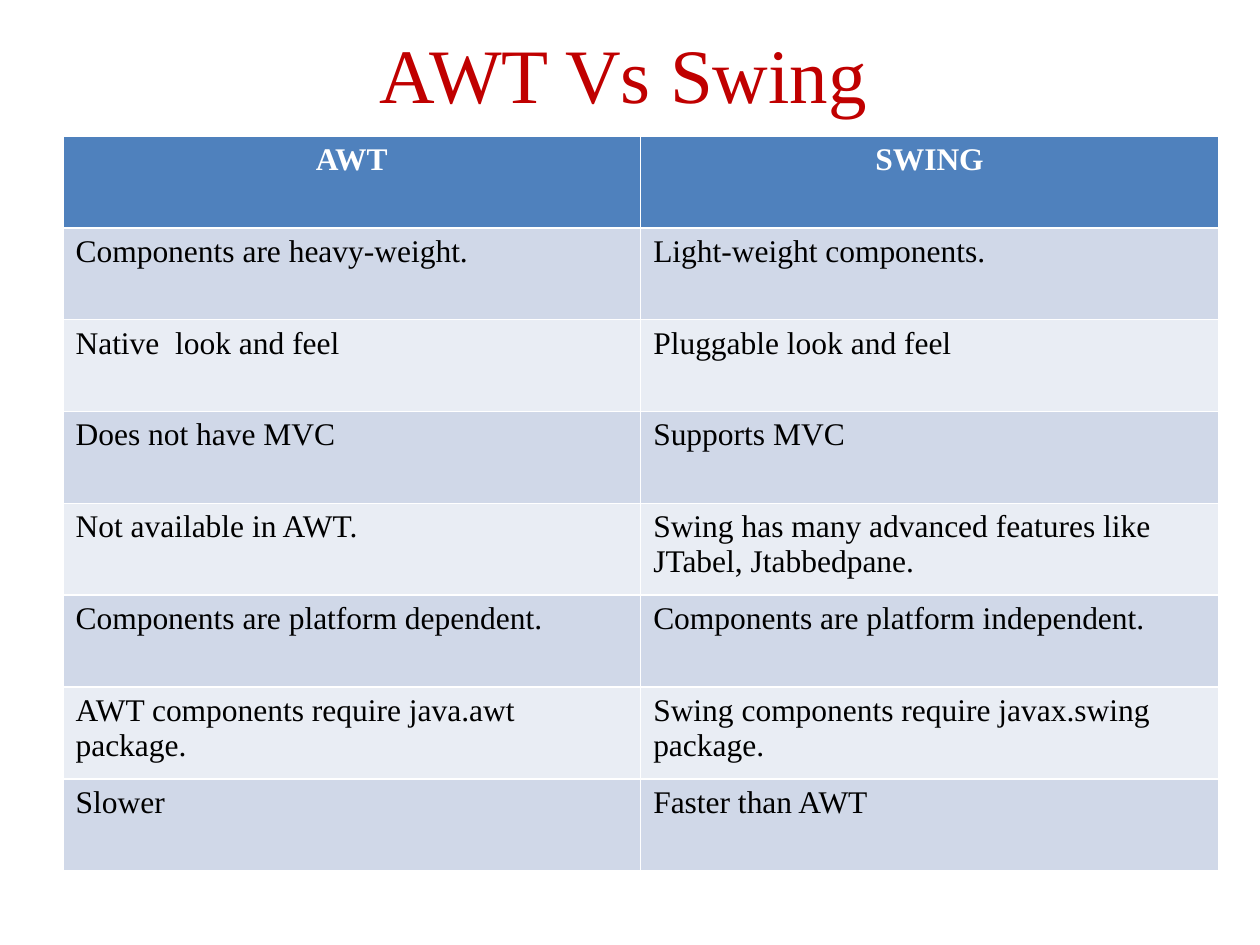
from pptx import Presentation
from pptx.dml.color import RGBColor
from pptx.enum.text import MSO_ANCHOR, PP_ALIGN
from pptx.util import Inches, Pt

CENTER = PP_ALIGN.CENTER
LEFT = PP_ALIGN.LEFT
MIDDLE = MSO_ANCHOR.MIDDLE
FONT = "Times New Roman"
COLORS = {
    "title": "C00000",
    "header": "4F81BD",
    "header_text": "FFFFFF",
    "odd_row": "D0D8E8",
    "even_row": "E9EDF4",
    "text": "000000",
}
COMPARISON = [
    ("AWT", "SWING"),
    ("Components are heavy-weight.", "Light-weight components."),
    ("Native  look and feel", "Pluggable look and feel"),
    ("Does not have MVC", "Supports MVC"),
    ("Not available in AWT.", "Swing has many advanced features like JTabel, Jtabbedpane."),
    ("Components are platform dependent.", "Components are platform independent."),
    ("AWT components require java.awt package.", "Swing components require javax.swing package."),
    ("Slower", "Faster than AWT"),
]


def color(name):
    """Return the named palette colour."""
    return RGBColor.from_string(COLORS[name])


def style_paragraph(paragraph, size, color_name, alignment, bold=False):
    """Set the font and alignment of a paragraph."""
    paragraph.alignment = alignment
    font = paragraph.font
    font.name = FONT
    font.size = Pt(size)
    font.bold = bold
    font.color.rgb = color(color_name)


def add_title(slide, left, top, width, height):
    """Add the centred slide title in the given box."""
    text_box = slide.shapes.add_textbox(Inches(left), Inches(top), Inches(width), Inches(height))
    frame = text_box.text_frame
    frame.word_wrap = True
    frame.vertical_anchor = MIDDLE
    frame.text = "AWT Vs Swing "
    style_paragraph(frame.paragraphs[0], 44, "title", CENTER)


def add_comparison(slide, left, top, width, height):
    """Add the comparison table with equal rows and columns in the given box."""
    table = slide.shapes.add_table(
        len(COMPARISON), len(COMPARISON[0]),
        Inches(left), Inches(top), Inches(width), Inches(height),
    ).table
    for row_index, row in enumerate(COMPARISON):
        is_header = row_index == 0
        fill_name = "header" if is_header else "odd_row" if row_index % 2 else "even_row"
        text_name = "header_text" if is_header else "text"
        for column_index, text in enumerate(row):
            cell = table.cell(row_index, column_index)
            cell.fill.solid()
            cell.fill.fore_color.rgb = color(fill_name)
            cell.text = text
            style_paragraph(cell.text_frame.paragraphs[0], 18, text_name,
                            CENTER if is_header else LEFT, is_header)


def main():
    """Build and save the presentation."""
    presentation = Presentation()
    presentation.slide_width = Inches(10)
    presentation.slide_height = Inches(7.5)
    slide = presentation.slides.add_slide(presentation.slide_layouts[6])
    add_title(slide, 0.55, 0, 8.95, 1.15)
    add_comparison(slide, 0.5, 1.08, 9.17, 5.83)
    presentation.save("out.pptx")


if __name__ == "__main__":
    main()
